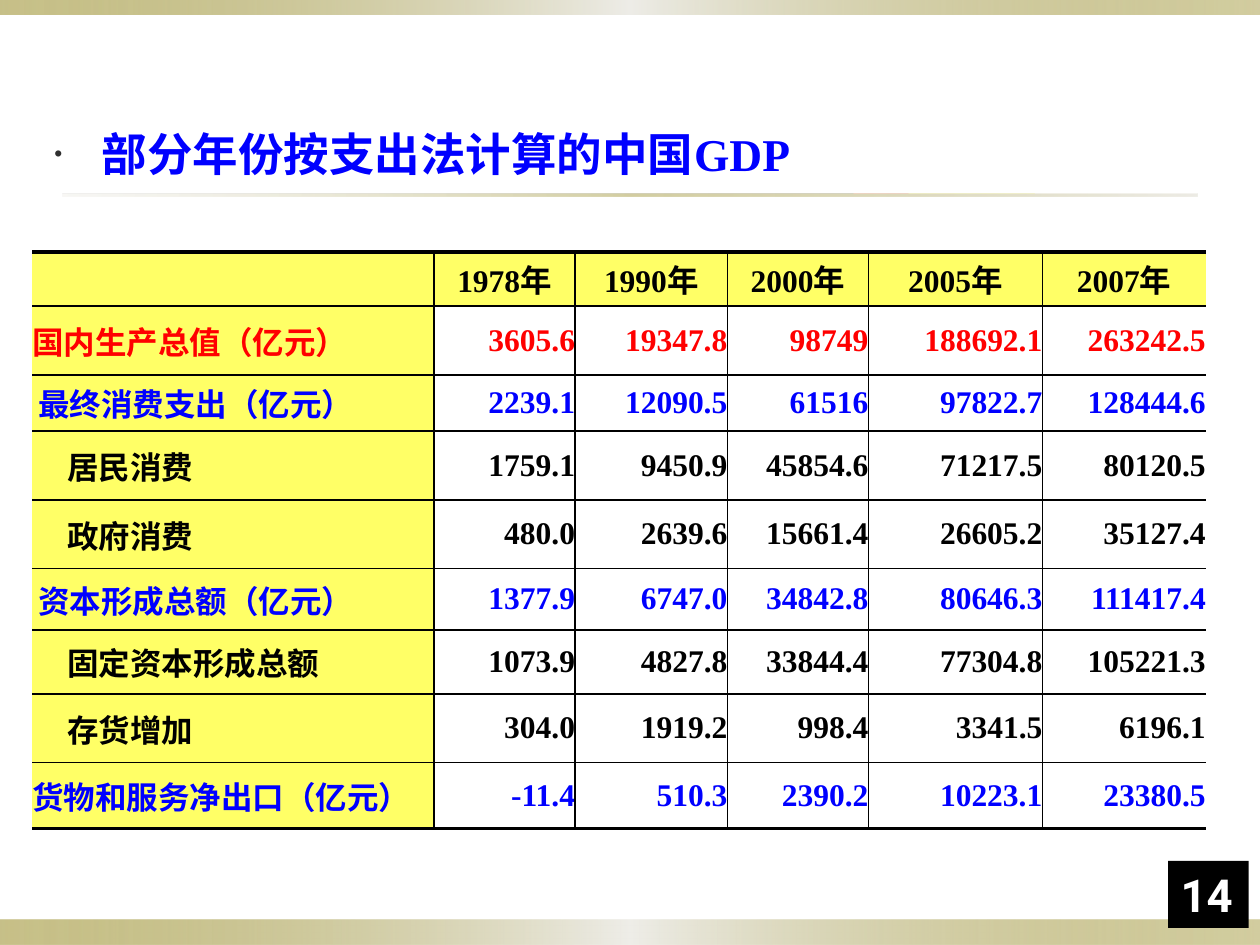
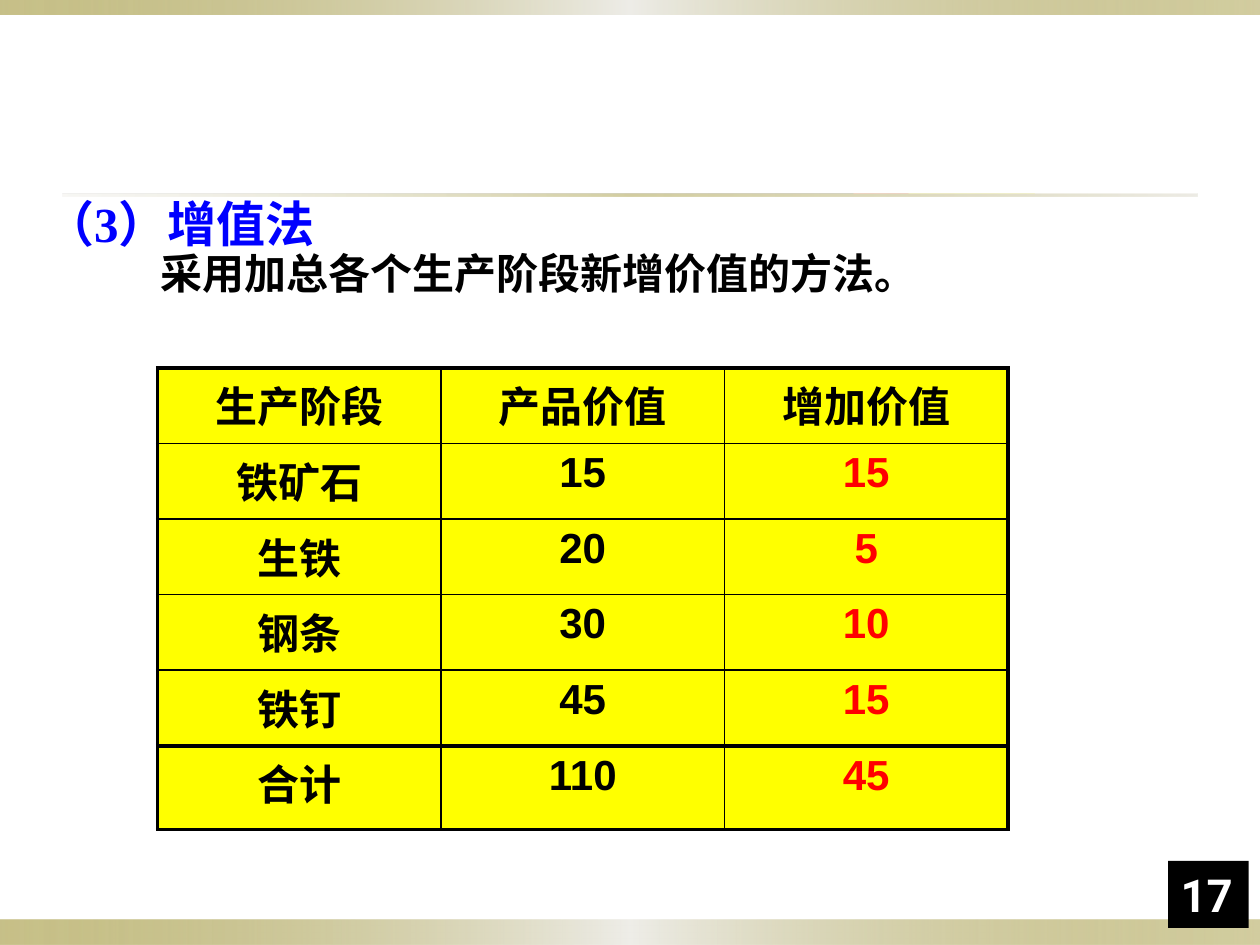
from dataclasses import dataclass

from lxml import etree
from pptx import Presentation
from pptx.dml.color import RGBColor
from pptx.enum import shapes, text
from pptx.oxml import ns
from pptx.util import Pt


@dataclass(frozen=True)
class Theme:
    black: str = "000000"
    white: str = "FFFFFF"
    blue: str = "0000FF"
    red: str = "FF0000"
    label_yellow: str = "FFFF66"
    stage_yellow: str = "FFFF00"
    bullet_gray: str = "2F2F2F"
    serif: str = "Times New Roman"
    sans: str = "Arial"
    chinese: str = "Noto Sans CJK SC"
    digits: str = "Roboto"
    heading: int = 28
    title: int = 26
    body: int = 24
    figures: int = 18
    thin: float = 1
    thick: float = 2.25


THEME = Theme()
# Gradient stops: position %, colour, opacity %
BAND_STOPS = [(0, "918415", 50), (50, "EEEDE8", 100), (100, "918415", 40)]
RULE_STOPS = [(0, "DCD9CC", 20), (50, "918415", 40), (100, "DCD9CC", 50)]

YEARS = ["", "1978年", "1990年", "2000年", "2005年", "2007年"]
# Label, label indent, colour, values by year
GDP_ROWS = [
    ("国内生产总值（亿元）", 0, THEME.red,
     ["3605.6", "19347.8", "98749", "188692.1", "263242.5"]),
    ("最终消费支出（亿元）", 3.5, THEME.blue,
     ["2239.1", "12090.5", "61516", "97822.7", "128444.6"]),
    ("居民消费", 20, THEME.black,
     ["1759.1", "9450.9", "45854.6", "71217.5", "80120.5"]),
    ("政府消费", 20, THEME.black,
     ["480.0", "2639.6", "15661.4", "26605.2", "35127.4"]),
    ("资本形成总额（亿元）", 3.5, THEME.blue,
     ["1377.9", "6747.0", "34842.8", "80646.3", "111417.4"]),
    ("固定资本形成总额", 20, THEME.black,
     ["1073.9", "4827.8", "33844.4", "77304.8", "105221.3"]),
    ("存货增加", 20, THEME.black,
     ["304.0", "1919.2", "998.4", "3341.5", "6196.1"]),
    ("货物和服务净出口（亿元）", 0, THEME.blue,
     ["-11.4", "510.3", "2390.2", "10223.1", "23380.5"]),
]
STAGES = [
    ("生产阶段", "产品价值", "增加价值"),
    ("铁矿石", "15", "15"),
    ("生铁", "20", "5"),
    ("钢条", "30", "10"),
    ("铁钉", "45", "15"),
    ("合计", "110", "45"),
]


def sub(parent, tag, **attributes):
    """Append a DrawingML child element."""
    child = etree.SubElement(parent, ns.qn(tag))
    for key, value in attributes.items():
        child.set(key, str(value))
    return child


def format_runs(paragraph, size, color, font):
    for run in paragraph.runs:
        run.font.size = Pt(size)
        run.font.bold = True
        run.font.color.rgb = RGBColor.from_string(color)
        run.font.name = font
        sub(run._r.get_or_add_rPr(), "a:ea", typeface=THEME.chinese)


def indent(paragraph, left, first=0):
    properties = paragraph._p.get_or_add_pPr()
    properties.set("marL", str(Pt(left)))
    properties.set("indent", str(Pt(first)))
    return properties


def add_block(slide, left, top, width, height):
    block = slide.shapes.add_shape(shapes.MSO_SHAPE.RECTANGLE,
                                   Pt(left), Pt(top), Pt(width), Pt(height))
    block.shadow.inherit = False
    block.line.fill.background()
    return block


def add_gradient_bar(slide, left, top, width, height, stops):
    bar = add_block(slide, left, top, width, height)
    bar.fill.gradient()
    bar.fill.gradient_angle = 0
    stop_list = bar._element.spPr.find(".//" + ns.qn("a:gsLst"))
    for old_stop in list(stop_list):
        stop_list.remove(old_stop)
    for position, color, opacity in stops:
        stop = sub(stop_list, "a:gs", pos=position * 1000)
        tint = sub(stop, "a:srgbClr", val=color)
        sub(tint, "a:alpha", val=opacity * 1000)


def add_page_number(slide, number):
    badge = add_block(slide, 667.5, 492, 46, 38.2)
    badge.fill.solid()
    badge.fill.fore_color.rgb = RGBColor.from_string(THEME.black)
    frame = badge.text_frame
    frame.vertical_anchor = text.MSO_ANCHOR.BOTTOM
    frame.text = number
    frame.paragraphs[0].alignment = text.PP_ALIGN.LEFT
    format_runs(frame.paragraphs[0], THEME.title, THEME.white, THEME.digits)


def add_page(deck, number):
    """Blank slide with the shared bands, rule and page number."""
    slide = deck.slides.add_slide(deck.slide_layouts[6])
    add_gradient_bar(slide, 0, 525.6, 720, 14.4, BAND_STOPS)
    add_gradient_bar(slide, 0, 0, 720, 8.6, BAND_STOPS)
    add_gradient_bar(slide, 36, 110.9, 648, 1.5, RULE_STOPS)
    add_page_number(slide, number)
    return slide


def add_text(slide, left, top, width, height, lines):
    """Lines are (wording, size, colour); returns the paragraphs."""
    frame = slide.shapes.add_textbox(Pt(left), Pt(top), Pt(width),
                                     Pt(height)).text_frame
    frame.word_wrap = True
    frame.text = "\n".join(wording for wording, _, _ in lines)
    for paragraph, (_, size, color) in zip(frame.paragraphs, lines):
        paragraph.line_spacing = 0.9
        format_runs(paragraph, size, color, THEME.serif)
    return frame.paragraphs


def add_bullet(paragraph):
    properties = indent(paragraph, 27, -27)
    bullet_color = sub(properties, "a:buClr")
    sub(bullet_color, "a:srgbClr", val=THEME.bullet_gray)
    sub(properties, "a:buSzPct", val=50000)
    sub(properties, "a:buFont", typeface=THEME.sans)
    sub(properties, "a:buChar", char="•")


def set_border(cell, side, width):
    line = sub(cell._tc.get_or_add_tcPr(), "a:ln" + side, w=Pt(width))
    if width:
        sub(sub(line, "a:solidFill"), "a:srgbClr", val=THEME.black)
    else:
        sub(line, "a:noFill")


def add_ruled_table(slide, left, top, widths, heights, across, down):
    """Table whose rule widths are listed for each row and column edge."""
    table = slide.shapes.add_table(
        len(heights), len(widths), Pt(left), Pt(top),
        Pt(sum(widths)), Pt(sum(heights))).table
    table.first_row = table.horz_banding = False
    for column, width in zip(table.columns, widths):
        column.width = Pt(width)
    for row, height in zip(table.rows, heights):
        row.height = Pt(height)
    for r in range(len(heights)):
        for c in range(len(widths)):
            edges = zip("LRTB", (down[c], down[c + 1], across[r], across[r + 1]))
            for side, width in edges:
                set_border(table.cell(r, c), side, width)
    return table


def fill_cell(cell, wording, fill, size, color, font, align):
    cell.fill.solid()
    cell.fill.fore_color.rgb = RGBColor.from_string(fill)
    cell.text = wording
    paragraph = cell.text_frame.paragraphs[0]
    paragraph.alignment = align
    format_runs(paragraph, size, color, font)
    return paragraph


def add_gdp_table(slide):
    thin, thick = THEME.thin, THEME.thick
    table = add_ruled_table(
        slide, 18.3, 144,
        widths=[229.7, 80.6, 87.1, 80.6, 99.4, 93.4],
        heights=[30.9, 39.4, 32, 39.4, 39.4, 34.9, 36.6, 39.4, 37.7],
        across=[thick] + [thin] * 8 + [thick],
        down=[0] + [thin] * 5 + [0])
    for cell in table.iter_cells():
        cell.margin_left = cell.margin_right = 0
        cell.margin_top = cell.margin_bottom = 0
        cell.vertical_anchor = text.MSO_ANCHOR.MIDDLE
    for c, year in enumerate(YEARS):
        fill_cell(table.cell(0, c), year, THEME.label_yellow, THEME.figures,
                  THEME.black, THEME.serif, text.PP_ALIGN.CENTER)
    for r, (label, label_indent, color, values) in enumerate(GDP_ROWS, 1):
        item = fill_cell(table.cell(r, 0), label, THEME.label_yellow,
                         THEME.figures, color, THEME.chinese,
                         text.PP_ALIGN.LEFT)
        indent(item, label_indent)
        for c, value in enumerate(values, 1):
            fill_cell(table.cell(r, c), value, THEME.white, THEME.figures,
                      color, THEME.serif, text.PP_ALIGN.RIGHT)


def add_stage_table(slide):
    thin, thick = THEME.thin, THEME.thick
    table = add_ruled_table(
        slide, 90, 210.2, widths=[162] * 3, heights=[43.2] * 5 + [47.7],
        across=[thick] + [thin] * 4 + [thick] * 2,
        down=[thick, thin, thin, thick])
    for r, stage in enumerate(STAGES):
        for c, wording in enumerate(stage):
            is_added_value = r > 0 and c == 2
            fill_cell(table.cell(r, c), wording, THEME.stage_yellow, THEME.body,
                      THEME.red if is_added_value else THEME.black,
                      THEME.sans, text.PP_ALIGN.CENTER)


def add_gdp_slide(deck):
    slide = add_page(deck, "14")
    title, = add_text(slide, 24, 72, 669, 408,
                      [("部分年份按支出法计算的中国GDP", THEME.title, THEME.blue)])
    add_bullet(title)
    add_gdp_table(slide)


def add_value_added_slide(deck):
    slide = add_page(deck, "17")
    _, method = add_text(slide, 18.7, 111, 672, 75, [
        ("（3）增值法", THEME.heading, THEME.blue),
        ("采用加总各个生产阶段新增价值的方法。", THEME.body, THEME.black)])
    indent(method, 66)
    add_stage_table(slide)


def main():
    deck = Presentation()
    deck.slide_width, deck.slide_height = Pt(720), Pt(540)
    add_gdp_slide(deck)
    add_value_added_slide(deck)
    deck.save("out.pptx")


if __name__ == "__main__":
    main()
